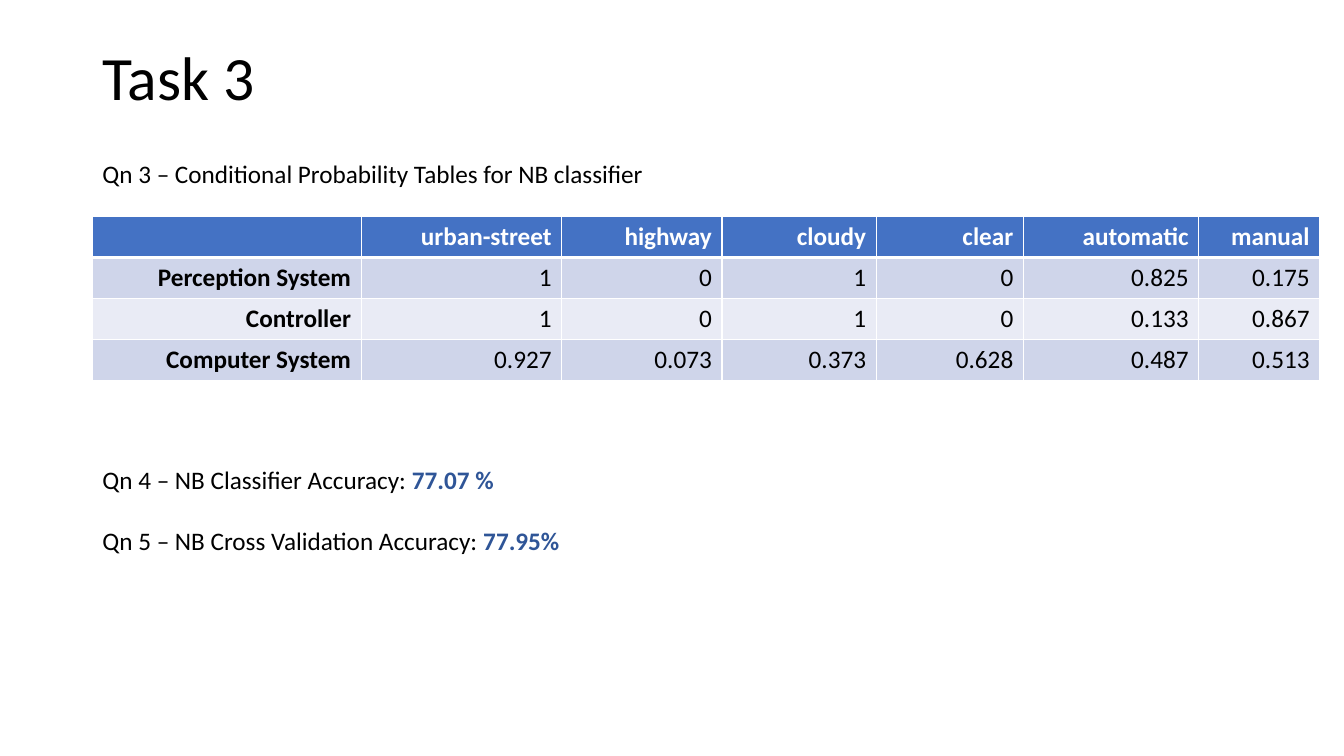
from pptx import Presentation
from pptx.dml.color import RGBColor
from pptx.enum.text import MSO_ANCHOR, MSO_AUTO_SIZE, PP_ALIGN
from pptx.util import Inches, Pt
from lxml.etree import SubElement
from pptx.oxml.ns import qn

BLACK = RGBColor(0x00, 0x00, 0x00)
WHITE = RGBColor(0xFF, 0xFF, 0xFF)
HEADER = RGBColor(0x44, 0x72, 0xC4)
BANDS = RGBColor(0xCF, 0xD5, 0xEA), RGBColor(0xE9, 0xEB, 0xF5)
ACCENT = RGBColor(0x2F, 0x55, 0x97)

GRID_COLS, GRID_ROWS = 160, 90
LEFT = 11
COL_WIDTHS = 32, 23.88, 19.08, 18.36, 17.52, 20.88, 14.4
ROW_HEIGHT = 4.87

PROBABILITIES = [
    ["", "urban-street", "highway", "cloudy", "clear", "automatic", "manual"],
    ["Perception System", "1", "0", "1", "0", "0.825", "0.175"],
    ["Controller", "1", "0", "1", "0", "0.133", "0.867"],
    ["Computer System", "0.927", "0.073", "0.373", "0.628", "0.487", "0.513"],
]
TABLE_QUESTION = [("Qn 3 – Conditional Probability Tables for NB classifier", "")]
ACCURACIES = [
    ("Qn 4 – NB Classifier Accuracy: ", "77.07 %"),
    ("Qn 5 – NB Cross Validation Accuracy: ", "77.95%"),
]


class Deck:
    """Holds the style and the current slide."""

    font, body_size, title_size = "Calibri", 18, 44

    def __init__(self, prs):
        """Add a slide with a title and two bodies."""
        self.cell_w = prs.slide_width / GRID_COLS
        self.cell_h = prs.slide_height / GRID_ROWS
        self.s = prs.slides.add_slide(prs.slide_layouts[3])

    def box(self, col, row, cols, rows):
        """Turn grid units into left, top, width and height."""
        return (round(col * self.cell_w), round(row * self.cell_h),
                round(cols * self.cell_w), round(rows * self.cell_h))

    def style(self, r, size, color=BLACK, bold=False):
        """Format one run."""
        r.font.name, r.font.size, r.font.bold = self.font, Pt(size), bold
        r.font.color.rgb = color

    def place(self, idx, grid, anchor):
        """Move a placeholder onto the grid and return its text frame."""
        sp = self.s.placeholders[idx]
        sp.left, sp.top, sp.width, sp.height = self.box(*grid)
        tf = sp.text_frame
        tf.word_wrap, tf.auto_size = True, MSO_AUTO_SIZE.NONE
        tf.vertical_anchor = anchor
        return tf

    def title(self, text, grid):
        """Fill the title."""
        tf = self.place(0, grid, MSO_ANCHOR.MIDDLE)
        tf.text = text
        p = tf.paragraphs[0]
        p.alignment, p.line_spacing = PP_ALIGN.LEFT, 0.9
        self.style(p.runs[0], self.title_size)

    def body(self, idx, lines, grid):
        """Fill a body with unbulleted lines, each a label and a value."""
        tf = self.place(idx, grid, MSO_ANCHOR.TOP)
        for i, (label, value) in enumerate(lines):
            p = tf.add_paragraph() if i else tf.paragraphs[0]
            p.text = label
            p.space_before = Pt(21.5 if i else 0)
            pPr = p._p.get_or_add_pPr()
            pPr.set("marL", "0")
            pPr.set("indent", "0")
            SubElement(pPr, qn("a:buNone"))
            self.style(p.runs[0], self.body_size)
            if value:
                r = p.add_run()
                r.text = value
                self.style(r, self.body_size, ACCENT, True)

    def borders(self, cell, bottom):
        """Draw white cell borders, with the bottom one in its own width."""
        tcPr = cell._tc.get_or_add_tcPr()
        for i, (side, width) in enumerate(zip("LRTB", (1, 1, 1, bottom))):
            ln = SubElement(tcPr, qn(f"a:ln{side}"), w=str(Pt(width)))
            fill = SubElement(ln, qn("a:solidFill"))
            SubElement(fill, qn("a:srgbClr"), val=str(WHITE))
            tcPr.insert(i, ln)

    def table(self, data, col, row):
        """Add a banded table with a header row and a bold first column."""
        grid = self.box(col, row, sum(COL_WIDTHS), ROW_HEIGHT * len(data))
        tbl = self.s.shapes.add_table(len(data), len(COL_WIDTHS), *grid).table
        for column, width in zip(tbl.columns, COL_WIDTHS):
            column.width = round(width * self.cell_w)
        for i, values in enumerate(data):
            tbl.rows[i].height = round(ROW_HEIGHT * self.cell_h)
            for j, text in enumerate(values):
                cell = tbl.cell(i, j)
                cell.text = text
                cell.vertical_anchor = MSO_ANCHOR.MIDDLE
                cell.fill.solid()
                cell.fill.fore_color.rgb = BANDS[(i - 1) % 2] if i else HEADER
                self.borders(cell, 1 if i else 3)
                p = cell.text_frame.paragraphs[0]
                p.alignment = PP_ALIGN.RIGHT
                for r in p.runs:
                    self.style(r, self.body_size, BLACK if i else WHITE,
                               i == 0 or j == 0)


prs = Presentation()
prs.slide_width, prs.slide_height = Inches(13.33), Inches(7.5)
deck = Deck(prs)
deck.title("Task 3", (LEFT, 0.84, 138, 17.4))
deck.body(1, TABLE_QUESTION, (LEFT, 18.24, 82.56, 30.24))
deck.body(2, ACCURACIES, (LEFT, 54.72, 82.56, 19.44))
deck.table(PROBABILITIES, LEFT, 25.8)
prs.save("out.pptx")
